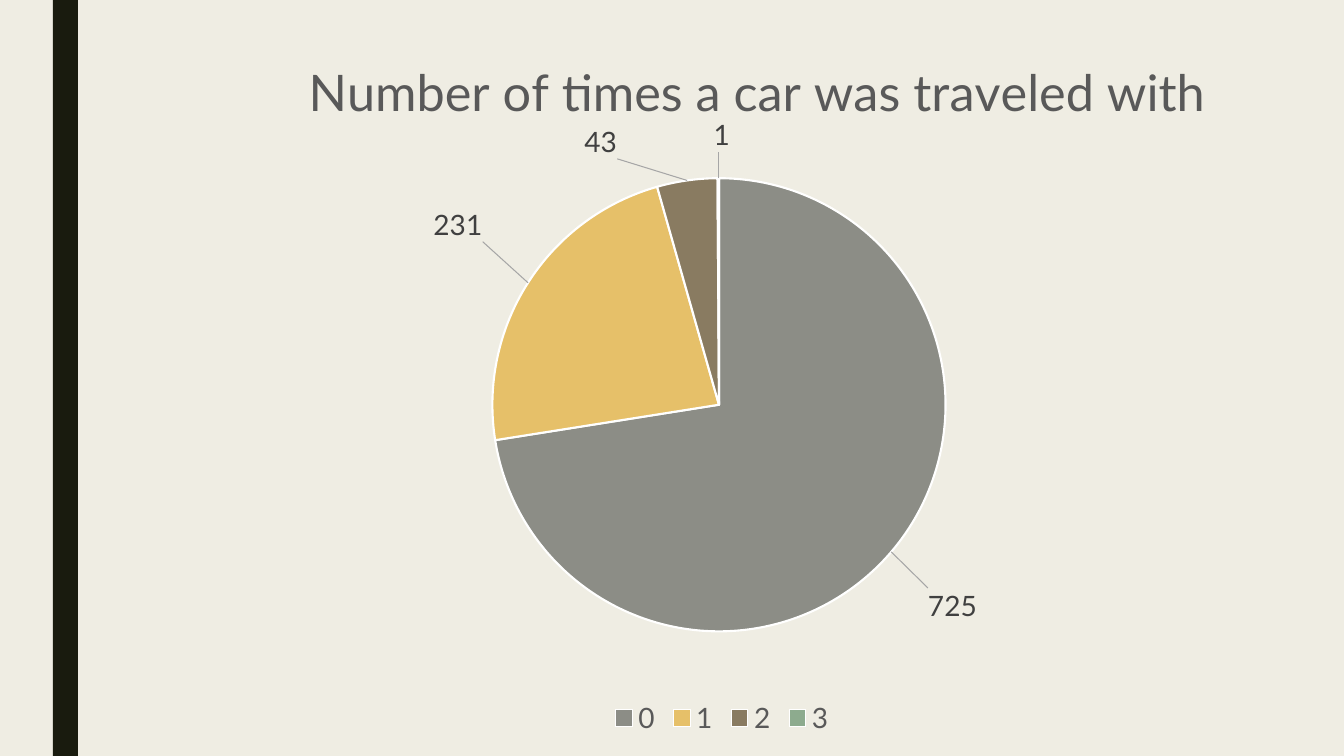
from lxml.etree import SubElement, Element
from pptx import Presentation
from pptx.chart.data import CategoryChartData
from pptx.dml.color import RGBColor
from pptx.enum.chart import XL_CHART_TYPE, XL_LABEL_POSITION, XL_LEGEND_POSITION
from pptx.enum.shapes import MSO_SHAPE
from pptx.oxml import parse_xml
from pptx.oxml.ns import nsdecls, qn
from pptx.util import Pt

PX = 9071  # EMU per pixel
SLIDE = (1344, 756)
FONT = "Lato"

# Trips per answer: category, count, slice colour, label shift in pixels
TRIPS = [
    ("0", 725, "8C8D86", (32, 32)),
    ("1", 231, "E6C069", (-40, -38)),
    ("2", 43, "897B61", (-69, -16)),
    ("3", 1, "8DAB8E", (3, -21)),
]


def px(*lengths):
    return [round(length * PX) for length in lengths]


def paint(target, color):
    target.solid()
    target.fore_color.rgb = RGBColor.from_string(color)


def format_font(font, size=20, color="404040", bold=False):
    font.name, font.size, font.bold = FONT, Pt(size), bold
    font.color.rgb = RGBColor.from_string(color)


def write(frame, text, **style):
    frame.text = text
    for run in frame.paragraphs[0].runs:
        format_font(run.font, **style)


def set_layout(parent, index, **settings):
    """Give a chart part a manual layout, as fractions of the chart."""
    for old in parent.findall(qn("c:layout")):
        parent.remove(old)
    layout = Element(qn("c:layout"))
    manual = SubElement(layout, qn("c:manualLayout"))
    for name, value in settings.items():
        SubElement(manual, qn("c:" + name)).set("val", str(value))
    parent.insert(index, layout)


def side_bar(slide, box):
    bar = slide.shapes.add_shape(MSO_SHAPE.RECTANGLE, *px(*box))
    bar.shadow.inherit = False
    paint(bar.fill, "191B0E")
    bar.line.fill.background()


def style_slices(series, width, height):
    labels = series.data_labels
    labels.show_value = True
    format_font(labels.font)
    for number, (_, _, color, (dx, dy)) in enumerate(TRIPS):
        point = series.points[number]
        paint(point.format.fill, color)
        paint(point.format.line.fill, "FFFFFF")
        point.format.line.width = Pt(1.5)
        # Shift each label outwards from its slice
        label = point.data_label
        format_font(label.font)
        label.position = XL_LABEL_POSITION.OUTSIDE_END
        dLbl = labels._element.findall(qn("c:dLbl"))[number]
        set_layout(dLbl, 1, x=round(dx / width, 3), y=round(dy / height, 3))
    # Leader lines
    leader = labels._element.find(qn("c:showLeaderLines"))
    if leader is None:
        leader = SubElement(labels._element, qn("c:showLeaderLines"))
    leader.set("val", "1")
    leader.addnext(parse_xml(
        f'<c:leaderLines {nsdecls("c", "a")}><c:spPr><a:ln w="9525"><a:solidFill>'
        '<a:srgbClr val="A6A6A6"/></a:solidFill></a:ln></c:spPr></c:leaderLines>'))


def trips_pie(slide, box):
    data = CategoryChartData()
    data.categories = [trip[0] for trip in TRIPS]
    data.add_series("Series 1", [trip[1] for trip in TRIPS])
    chart = slide.shapes.add_chart(XL_CHART_TYPE.PIE, *px(*box), data).chart
    format_font(chart.font)

    # Heading
    chart.has_title = True
    write(chart.chart_title.text_frame, "Number of times a car was traveled with",
          size=36, color="595959")
    set_layout(chart.chart_title._element, 1, xMode="edge", yMode="edge", x=0.145, y=0.03)

    # Legend
    chart.has_legend = True
    chart.legend.position = XL_LEGEND_POSITION.BOTTOM
    chart.legend.include_in_layout = False
    format_font(chart.legend.font, color="595959")

    # Pie
    pie = chart.plots[0]
    pie.vary_by_categories = True
    plot_area = pie._element.getparent()
    set_layout(plot_area, 0, layoutTarget="inner", xMode="edge", yMode="edge",
               x=0.294, y=0.214, w=0.407, h=0.633)
    style_slices(pie.series[0], box[2], box[3])


deck = Presentation()
deck.slide_width, deck.slide_height = px(*SLIDE)
slide = deck.slides.add_slide(deck.slide_layouts[6])
paint(slide.background.fill, "EFEDE3")
side_bar(slide, (53, 0, 25, 756))
trips_pie(slide, (127, 25, 1190, 716))
deck.save("out.pptx")
